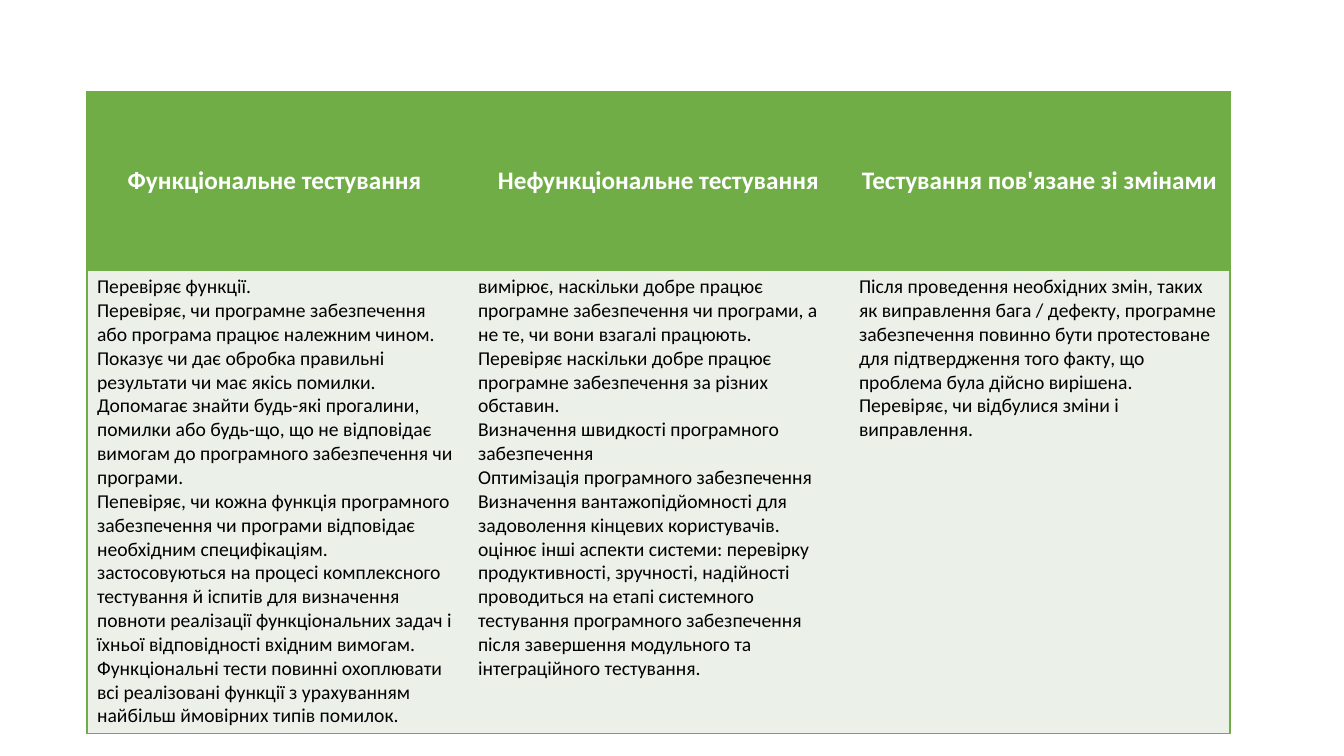
from lxml import etree
from pptx import Presentation
from pptx.dml.color import RGBColor
from pptx.enum.text import MSO_ANCHOR, PP_ALIGN
from pptx.oxml.ns import qn
from pptx.util import Pt

EMU_PER_PIXEL = 914400 / 100.8
SLIDE_WIDTH, SLIDE_HEIGHT = 1344, 756
TABLE_LEFT, TABLE_TOP = 87, 92
COLUMN_WIDTH = 381
HEADER_HEIGHT, BODY_HEIGHT = 178, 457
MIDDLE, TOP = MSO_ANCHOR.MIDDLE, MSO_ANCHOR.TOP
CENTER, LEFT = PP_ALIGN.CENTER, PP_ALIGN.LEFT
FONT = "Calibri"
GREEN, PALE, WHITE, BLACK = "70AD47", "EBF1E9", "FFFFFF", "000000"
BORDER_WIDTH = 1
PLAIN_TABLE_STYLE = "{2D5ABB26-0587-4C30-8999-92F81FD0307C}"

HEADERS = [
    "Функціональне тестування ",
    "Нефункціональне тестування",
    "Тестування пов'язане зі змінами",
]
FUNCTIONAL = [
    "Перевіряє функції. ",
    "Перевіряє, чи програмне забезпечення або програма працює належним чином. "
    "Показує чи дає обробка правильні результати чи має якісь помилки.",
    "Допомагає знайти будь-які прогалини, помилки або будь-що, що не відповідає "
    "вимогам до програмного забезпечення чи програми.",
    "Пепевіряє, чи кожна функція програмного забезпечення чи програми відповідає "
    "необхідним специфікаціям.",
    "застосовуються\u00a0на процесі комплексного тестування й іспитів для визначення "
    "повноти реалізації функціональних задач і їхньої відповідності вхідним вимогам.",
    "Функціональні тести повинні охоплювати всі реалізовані функції з урахуванням "
    "найбільш ймовірних типів помилок.",
]
NON_FUNCTIONAL = [
    "вимірює, наскільки добре працює програмне забезпечення чи програми, а не те, "
    "чи вони взагалі працюють.",
    "Перевіряє наскільки добре працює програмне забезпечення за різних обставин.",
    "Визначення швидкості програмного забезпечення",
    "Оптимізація програмного забезпечення",
    "Визначення вантажопідйомності для задоволення кінцевих користувачів.",
    "оцінює інші аспекти системи: перевірку продуктивності, зручності, надійності",
    "проводиться\u00a0на етапі системного тестування програмного забезпечення "
    "після завершення модульного та інтеграційного тестування.",
]
CHANGES = [
    "Після проведення необхідних змін, таких як виправлення бага / дефекту, програмне "
    "забезпечення повинно бути протестоване для підтвердження того факту, що проблема "
    "була дійсно вирішена. ",
    "Перевіряє, чи відбулися зміни і виправлення. ",
]
HEADER_ROW = [[[header]] for header in HEADERS]
BODY_ROW = [[FUNCTIONAL], [NON_FUNCTIONAL], [[sentence] for sentence in CHANGES]]


def pixels(length):
    return round(length * EMU_PER_PIXEL)


def color(value):
    return RGBColor.from_string(value)


def write_cell(cell, paragraphs, size, bold, text_color, alignment):
    frame = cell.text_frame
    for index, lines in enumerate(paragraphs):
        paragraph = frame.add_paragraph() if index else frame.paragraphs[0]
        paragraph.alignment = alignment
        for line_index, line in enumerate(lines):
            if line_index:
                paragraph.add_line_break()
            run = paragraph.add_run()
            run.text = line
            run.font.name = FONT
            run.font.size = Pt(size)
            run.font.bold = bold
            run.font.color.rgb = color(text_color)


def add_borders(cell, sides):
    properties = cell._tc.get_or_add_tcPr()
    for index, side in enumerate(sides):
        border = etree.Element(qn(f"a:ln{side}"), w=str(Pt(BORDER_WIDTH)))
        fill = etree.SubElement(border, qn("a:solidFill"))
        etree.SubElement(fill, qn("a:srgbClr"), val=GREEN)
        properties.insert(index, border)


def fill_row(table, row, contents, fill, anchor, **text_style):
    last = len(contents) - 1
    for column, paragraphs in enumerate(contents):
        cell = table.cell(row, column)
        cell.fill.solid()
        cell.fill.fore_color.rgb = color(fill)
        cell.vertical_anchor = anchor
        write_cell(cell, paragraphs, **text_style)
        sides = ["L"] * (column == 0) + ["R"] * (column == last) + ["T", "B"]
        add_borders(cell, sides)


def add_testing_table(slide):
    column_count = len(HEADERS)
    frame = slide.shapes.add_table(
        2, column_count, pixels(TABLE_LEFT), pixels(TABLE_TOP),
        pixels(COLUMN_WIDTH * column_count), pixels(HEADER_HEIGHT + BODY_HEIGHT),
    )
    table = frame.table
    table._tbl.tblPr.find(qn("a:tableStyleId")).text = PLAIN_TABLE_STYLE
    table.horz_banding = False
    for column in table.columns:
        column.width = pixels(COLUMN_WIDTH)
    for row, height in zip(table.rows, (HEADER_HEIGHT, BODY_HEIGHT)):
        row.height = pixels(height)
    fill_row(table, 0, HEADER_ROW, GREEN, MIDDLE,
             size=18, bold=True, text_color=WHITE, alignment=CENTER)
    fill_row(table, 1, BODY_ROW, PALE, TOP,
             size=14, bold=False, text_color=BLACK, alignment=LEFT)


def main():
    presentation = Presentation()
    presentation.slide_width = pixels(SLIDE_WIDTH)
    presentation.slide_height = pixels(SLIDE_HEIGHT)
    slide = presentation.slides.add_slide(presentation.slide_layouts[6])
    add_testing_table(slide)
    presentation.save("out.pptx")


main()
